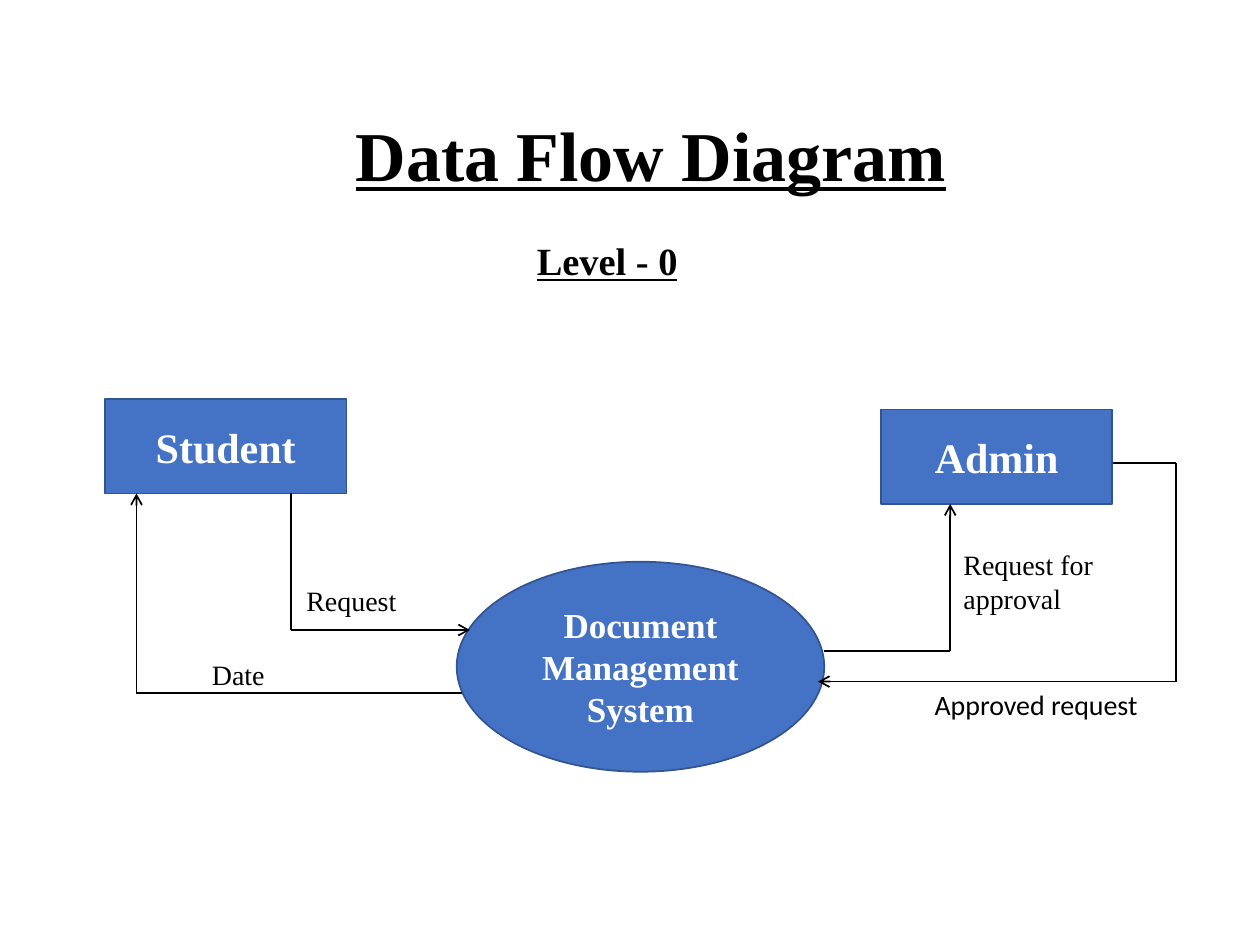
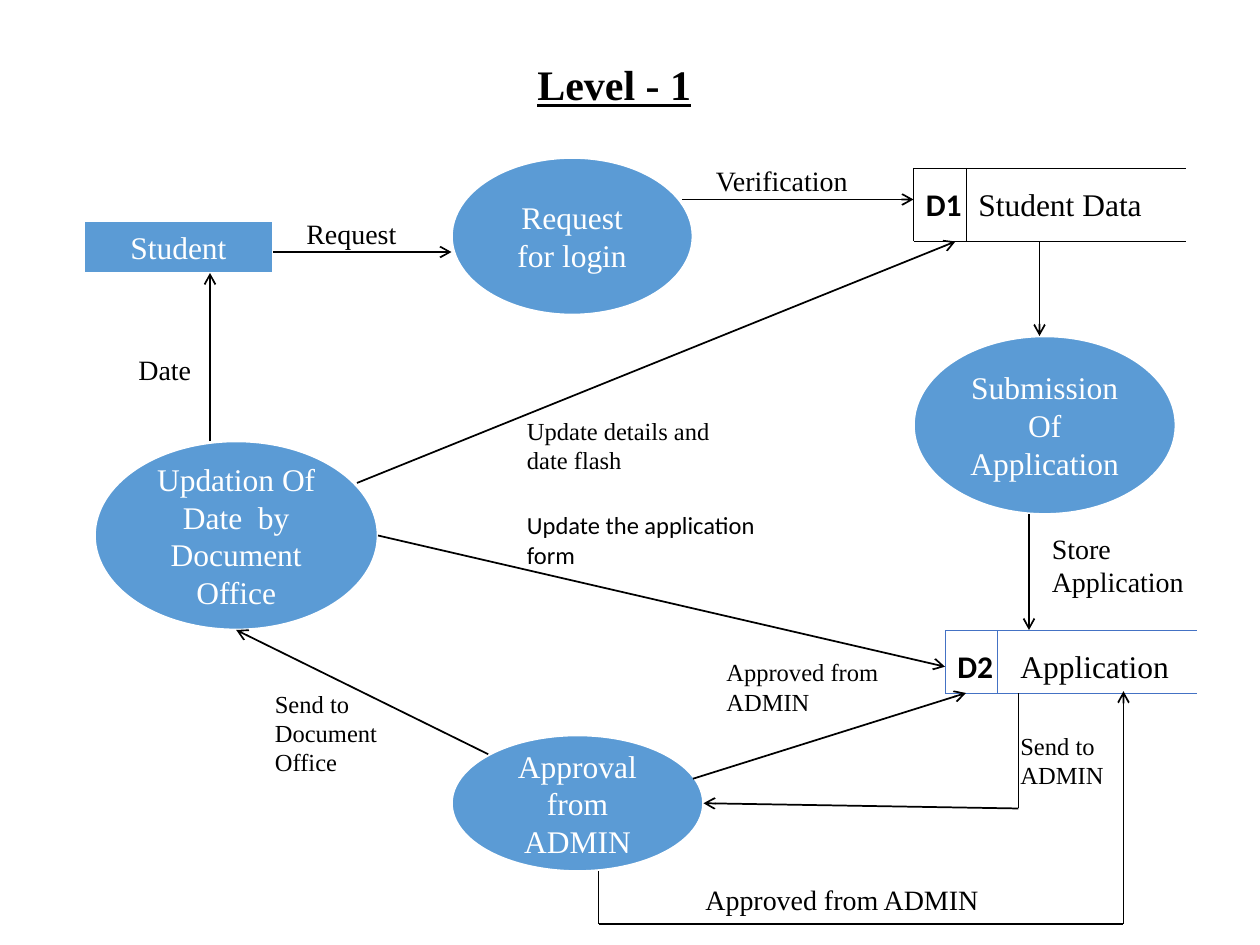
from dataclasses import dataclass
from itertools import pairwise

from lxml import etree
from pptx import Presentation
from pptx import util as u
from pptx.dml.color import RGBColor
from pptx.enum import shapes, text
from pptx.oxml import ns

Pt = u.Pt
Point = tuple[float, float]


@dataclass(frozen=True)
class Theme:
    ink: str = "000000"
    paper: str = "FFFFFF"
    blue: str = "4472C4"
    blue_edge: str = "325491"
    sky: str = "5B9BD5"
    serif: str = "Times New Roman"
    sans: str = "Calibri"
    title: float = 40
    heading: float = 24
    subtitle: float = 22
    system: float = 20
    node: float = 18
    label: float = 16
    note: float = 14
    flow_line: float = 1
    store_line: float = 0.5


THEME = Theme()


@dataclass(frozen=True)
class Frame:
    left: float
    top: float
    width: float
    height: float


@dataclass(frozen=True)
class Look:
    fill: str
    edge: str
    edge_width: float
    bold: bool


LEVEL_0 = Look(THEME.blue, THEME.blue_edge, 1, True)
LEVEL_1 = Look(THEME.sky, THEME.paper, 1.5, False)


@dataclass(frozen=True)
class Node:
    words: str
    frame: Frame
    look: Look
    size: float = THEME.node
    kind: shapes.MSO_SHAPE = shapes.MSO_SHAPE.OVAL


@dataclass(frozen=True)
class Label:
    words: str
    frame: Frame
    size: float = THEME.label
    font: str = THEME.serif
    bold: bool = False


@dataclass(frozen=True)
class Flow:
    points: tuple[Point, ...]


@dataclass(frozen=True)
class Store:
    code: str
    name: str
    frame: Frame
    name_indent: float
    color: str
    code_width: float = 30


def place(box, frame: Frame) -> None:
    box.left, box.top = Pt(frame.left), Pt(frame.top)
    box.width, box.height = Pt(frame.width), Pt(frame.height)


def write(box, words: str, size: float, font: str = THEME.serif,
          color: str = THEME.ink, bold: bool = False, underline: bool = False,
          align=text.PP_ALIGN.LEFT, anchor=text.MSO_ANCHOR.TOP) -> None:
    frame = box.text_frame
    frame.word_wrap = True
    frame.auto_size = text.MSO_AUTO_SIZE.NONE
    frame.vertical_anchor = anchor
    for index, line in enumerate(words.split("\n")):
        para = frame.add_paragraph() if index else frame.paragraphs[0]
        para.alignment = align
        para.space_before = Pt(0)
        span = para.add_run()
        span.text = line
        span.font.name = font
        span.font.size = Pt(size)
        span.font.bold = bold
        span.font.underline = underline
        span.font.color.rgb = RGBColor.from_string(color)


def draw_heading(box, words: str, frame: Frame, size: float) -> None:
    place(box, frame)
    write(box, words, size, bold=True, underline=True,
          align=text.PP_ALIGN.CENTER)


def draw_node(page, node: Node) -> None:
    box = page.shapes.add_shape(node.kind, 0, 0, 0, 0)
    place(box, node.frame)
    box.shadow.inherit = False
    box.fill.solid()
    box.fill.fore_color.rgb = RGBColor.from_string(node.look.fill)
    box.line.color.rgb = RGBColor.from_string(node.look.edge)
    box.line.width = Pt(node.look.edge_width)
    write(box, node.words, node.size, color=THEME.paper, bold=node.look.bold,
          align=text.PP_ALIGN.CENTER, anchor=text.MSO_ANCHOR.MIDDLE)


def draw_label(page, label: Label) -> None:
    box = page.shapes.add_textbox(0, 0, 0, 0)
    place(box, label.frame)
    write(box, label.words, label.size, label.font, bold=label.bold)


def draw_line(page, start: Point, end: Point, color: str = THEME.ink,
              width: float = THEME.flow_line, arrow: bool = False) -> None:
    line = page.shapes.add_connector(
        shapes.MSO_CONNECTOR.STRAIGHT, *(Pt(value) for value in start + end))
    line.line.color.rgb = RGBColor.from_string(color)
    line.line.width = Pt(width)
    properties = line._element.spPr
    if arrow:
        outline = properties.find(ns.qn("a:ln"))
        etree.SubElement(outline, ns.qn("a:tailEnd"), type="arrow")
    etree.SubElement(properties, ns.qn("a:effectLst"))


def draw_flow(page, flow: Flow) -> None:
    for start, end in pairwise(flow.points):
        draw_line(page, start, end, arrow=end == flow.points[-1])


def draw_store(page, store: Store) -> None:
    area = store.frame
    right, bottom = area.left + area.width, area.top + area.height
    for y in (area.top, bottom):
        draw_line(page, (area.left, y), (right, y), store.color, THEME.store_line)
    for x in (area.left, area.left + store.code_width):
        draw_line(page, (x, area.top), (x, bottom), store.color, THEME.store_line)
    draw_label(page, Label(store.code, Frame(area.left, area.top + 6, 45, 29),
                           THEME.node, THEME.sans, True))
    draw_label(page, Label(
        store.name,
        Frame(area.left + store.name_indent, area.top + 6, 125, 29), THEME.node))


DRAWERS = {Node: draw_node, Label: draw_label, Flow: draw_flow, Store: draw_store}

OVERVIEW = (
    Node("Student", Frame(60, 228, 138, 54), LEVEL_0, THEME.heading,
         shapes.MSO_SHAPE.RECTANGLE),
    Node("Document\nManagement\nSystem", Frame(261, 321, 210, 120), LEVEL_0,
         THEME.system),
    Node("Admin", Frame(503.5, 234, 132, 54), LEVEL_0, THEME.heading,
         shapes.MSO_SHAPE.RECTANGLE),
    Flow(((166.5, 282), (166.5, 360), (268.5, 360))),
    Flow(((264, 396), (78, 396), (78, 282))),
    Flow(((471, 372), (543, 372), (543, 288))),
    Flow(((636, 264.5), (672, 264.5), (672, 389.5), (467.5, 389.5))),
    Label("Request", Frame(168, 330, 84, 27)),
    Label("Date", Frame(114, 372, 90, 27)),
    Label("Request for approval", Frame(543.5, 309.5, 114, 46)),
    Label("Approved request", Frame(527, 389.5, 156, 27), font=THEME.sans),
)

DETAIL = (
    Node("Student", Frame(48, 126, 108, 30), LEVEL_1,
         kind=shapes.MSO_SHAPE.RECTANGLE),
    Node("Request for login", Frame(258, 90, 138, 90), LEVEL_1),
    Node("Submission Of Application", Frame(522, 192, 150, 102), LEVEL_1),
    Node("Approval from ADMIN", Frame(258, 420, 144, 78), LEVEL_1),
    Node("Updation Of Date  by Document Office", Frame(54, 252, 162, 108), LEVEL_1),
    Store("D1", "Student Data", Frame(522, 96, 156, 42), 30, THEME.ink),
    Store("D2", "Application", Frame(540, 360, 144, 36), 36, THEME.blue),
    Flow(((156, 144), (258, 144))),
    Flow(((390, 114), (522, 114))),
    Flow(((594, 138), (594, 192))),
    Flow(((588, 294), (588, 360))),
    Flow(((396, 445), (552, 396))),
    Flow(((582, 396), (582, 462), (402, 459))),
    Flow(((279, 431), (135, 360))),
    Flow(((204, 276), (546, 138))),
    Flow(((216, 306), (540, 381))),
    Flow(((120, 252), (120, 156))),
    Flow(((342, 498), (342, 528), (642, 528), (642, 395))),
    Label("Verification", Frame(402, 90, 126, 27)),
    Label("Request", Frame(168, 120, 84, 27)),
    Label("Date", Frame(72, 198, 54, 27)),
    Label("Update details and date flash", Frame(294, 234, 126, 41), THEME.note),
    Label("Update the application form", Frame(294, 288, 156, 41), THEME.note,
          THEME.sans),
    Label("Store Application", Frame(594, 300, 102, 46)),
    Label("Send to ADMIN", Frame(576, 414, 72, 41), THEME.note),
    Label("Approved from ADMIN", Frame(408, 372, 102, 41), THEME.note),
    Label("Approved from ADMIN", Frame(396, 501, 300, 27)),
    Label("Send to Document Office", Frame(150, 390, 108, 58), THEME.note),
)


def draw_all(page, parts: tuple) -> None:
    for part in parts:
        DRAWERS[type(part)](page, part)


def main() -> None:
    deck = Presentation()
    deck.slide_width, deck.slide_height = Pt(720), Pt(540)

    overview = deck.slides.add_slide(deck.slide_layouts[0])
    draw_heading(overview.shapes.title, "Data Flow Diagram",
                 Frame(162, 60, 420, 55), THEME.title)
    draw_heading(overview.placeholders[1], "Level - 0",
                 Frame(275, 132, 144, 34), THEME.subtitle)
    draw_all(overview, OVERVIEW)

    detail = deck.slides.add_slide(deck.slide_layouts[5])
    draw_heading(detail.shapes.title, "Level - 1",
                 Frame(294, 30, 114, 36), THEME.heading)
    draw_all(detail, DETAIL)

    deck.save("out.pptx")


if __name__ == "__main__":
    main()
